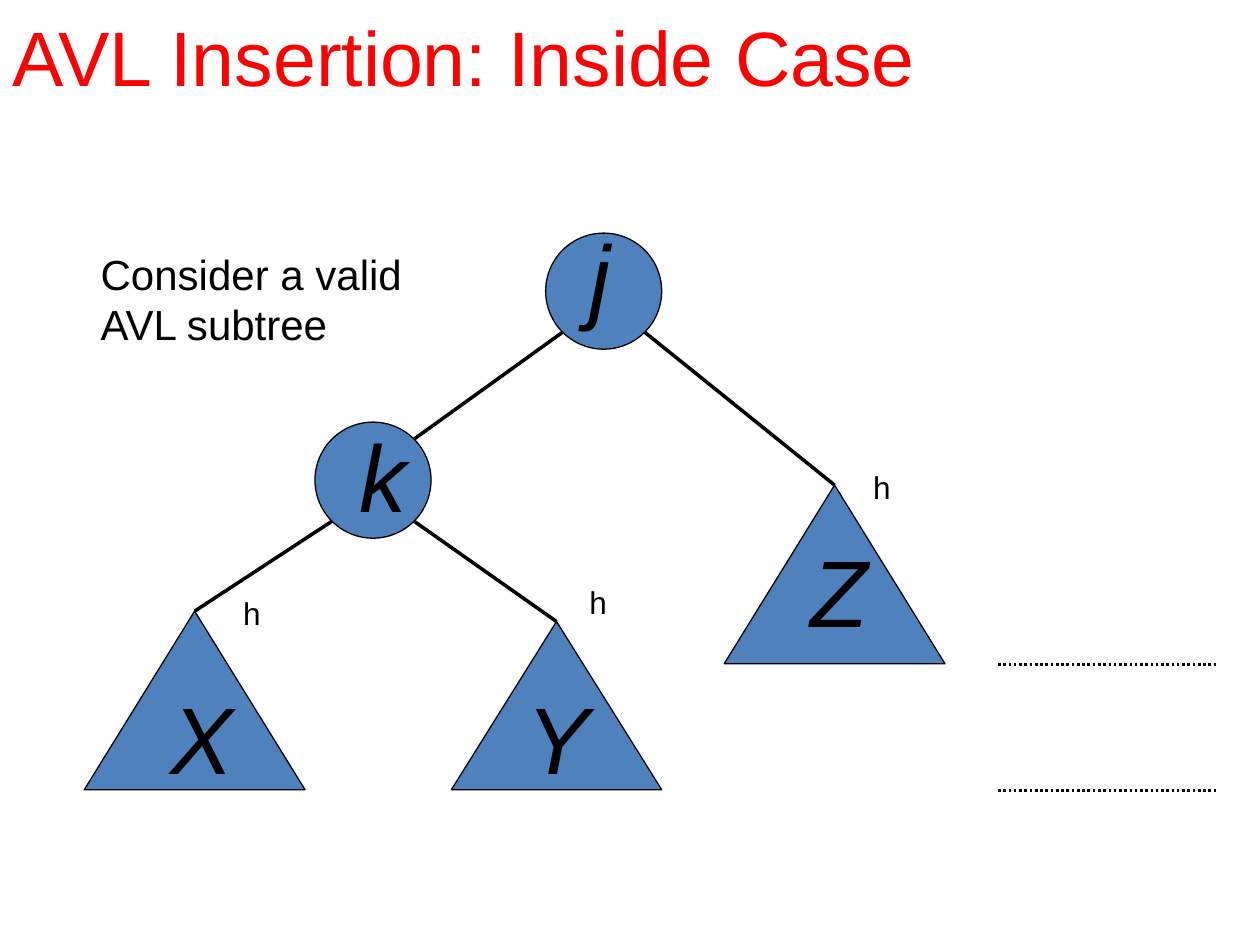
import math
import pptx
import pptx.dml.color
import pptx.enum.dml
import pptx.enum.shapes
import pptx.enum.text
import pptx.oxml.ns
import pptx.util
from pptx.util import Cm, Pt
import lxml.etree

COLORS = {"node": "4F81BD", "ink": "000000", "title": "FF0000"}
FONT = "Arial"


def add_text(text, left, top, width, height, size, color="ink", italic=False,
             wrap=True, grow=True, space_before=0):
    box = slide.shapes.add_textbox(Cm(left), Cm(top), Cm(width), Cm(height))
    frame = box.text_frame
    frame.word_wrap = wrap
    if grow:
        frame.auto_size = pptx.enum.text.MSO_AUTO_SIZE.SHAPE_TO_FIT_TEXT
    frame.text = text
    for paragraph in frame.paragraphs:
        paragraph.space_before = Pt(space_before)
        font = paragraph.runs[0].font
        font.name, font.size, font.italic = FONT, Pt(size), italic
        font.color.rgb = pptx.dml.color.RGBColor.from_string(COLORS[color])
    return box


def add_line(start, end, width, dash=None):
    line = slide.shapes.add_connector(
        pptx.enum.shapes.MSO_CONNECTOR.STRAIGHT,
        Cm(start[0]), Cm(start[1]), Cm(end[0]), Cm(end[1]))
    line.line.color.rgb = pptx.dml.color.RGBColor.from_string(COLORS["ink"])
    line.line.width = Pt(width)
    if dash:
        line.line.dash_style = dash
    lxml.etree.SubElement(line._element.spPr, pptx.oxml.ns.qn("a:effectLst"))


presentation = pptx.Presentation()
presentation.slide_width, presentation.slide_height = Cm(25.4), Cm(19.05)
slide = presentation.slides.add_slide(presentation.slide_layouts[6])

# Tree nodes: kind, left, top, width, height, then letter left and top
ellipse = pptx.enum.shapes.MSO_SHAPE.OVAL
triangle = pptx.enum.shapes.MSO_SHAPE.ISOSCELES_TRIANGLE
nodes = {
    "j": (ellipse, 11, 4.7, 2.34, 2.34, 11.63, 4.27),
    "k": (ellipse, 6.35, 8.51, 2.34, 2.34, 6.99, 8.31),
    "X": (triangle, 1.7, 12.32, 4.45, 3.6, 3.18, 13.59),
    "Y": (triangle, 9.1, 12.53, 4.24, 3.39, 10.36, 13.59),
    "Z": (triangle, 14.6, 9.78, 4.45, 3.6, 16.08, 10.62),
}
for letter, (kind, left, top, width, height, text_left, text_top) in nodes.items():
    shape = slide.shapes.add_shape(kind, Cm(left), Cm(top), Cm(width), Cm(height))
    shape.shadow.inherit = False
    shape.fill.solid()
    shape.fill.fore_color.rgb = pptx.dml.color.RGBColor.from_string(COLORS["node"])
    shape.line.color.rgb = pptx.dml.color.RGBColor.from_string(COLORS["ink"])
    shape.line.width = Pt(0.75)
    add_text(letter, text_left, text_top, 1.42, 2.54, 54, italic=True, space_before=5)

# Edges leave a circle at 45 degrees and end at a circle or a triangle's tip
for parent, child, side in (("j", "k", -1), ("k", "X", -1), ("k", "Y", 1), ("j", "Z", 1)):
    _, left, top, diameter, _, _, _ = nodes[parent]
    radius = diameter / 2
    offset = radius * math.sqrt(0.5)
    start = (left + radius + side * offset, top + radius + offset)
    kind, left, top, width, height, _, _ = nodes[child]
    end = (left + width / 2, top)
    if kind == ellipse:
        end = (left + radius - side * offset, top + radius - offset)
    add_line(start, end, 2)

# Dotted level marks
for level in (13.39, 15.93):
    add_line((20.12, level), (24.56, level), 1.5, pptx.enum.dml.MSO_LINE.ROUND_DOT)

# Title, note and subtree heights
title = add_text("AVL Insertion: Inside Case", 0, 0, 21.72, 2.24, 44,
                 color="title", grow=False)
title.text_frame.vertical_anchor = pptx.enum.text.MSO_ANCHOR.MIDDLE
add_text("Consider a valid\nAVL subtree", 1.78, 4.88, 6.6, 2.29, 24, wrap=False)
for left, top in ((17.35, 9.32), (11.63, 11.63), (4.65, 11.86)):
    add_text("h", left, top, 0.91, 1.09, 18, wrap=False)

presentation.save("out.pptx")
